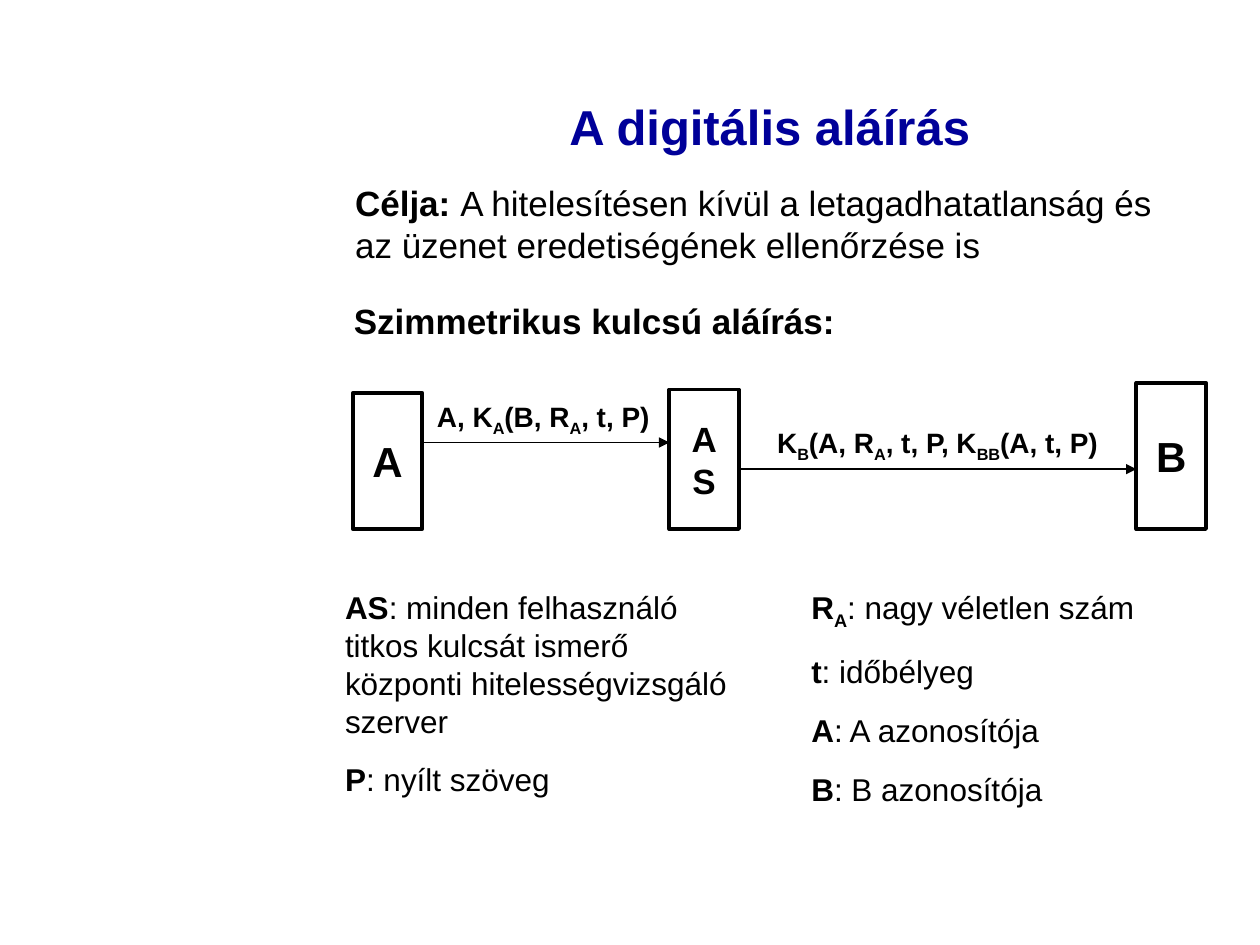
from lxml import etree
from pptx import Presentation
from pptx.dml.color import RGBColor
from pptx.enum import shapes, text as t
from pptx.oxml import ns
from pptx.util import Pt

BLACK, NAVY = "000000", "000099"
BOLD, PLAIN, SUB = "bold", "plain", "sub"

# Every text is a list of paragraphs; a paragraph is a list of (words, style).
TITLE = [[("A digitális aláírás", BOLD)]]
GOAL = [[("Célja: ", BOLD),
         ("A hitelesítésen kívül a letagadhatatlanság és az üzenet "
          "eredetiségének ellenőrzése is", PLAIN)]]
HEADING = [[("Szimmetrikus kulcsú aláírás:", BOLD)]]
LEFT_TERMS = [
    [("AS", BOLD), (": minden felhasználó titkos kulcsát ismerő központi "
                    "hitelességvizsgáló szerver", PLAIN)],
    [("P", BOLD), (": nyílt szöveg", PLAIN)],
]
RIGHT_TERMS = [
    [("R", BOLD), ("A", SUB), (": nagy véletlen szám", PLAIN)],
    [("t", BOLD), (": időbélyeg", PLAIN)],
    [("A", BOLD), (": A azonosítója", PLAIN)],
    [("B", BOLD), (": B azonosítója", PLAIN)],
]

# words, place (left, top, width, height), format
TEXTS = [
    (TITLE, (195.8, 21.6, 488.2, 100.8),
     dict(size=28, color=NAVY, align=t.PP_ALIGN.CENTER, anchor=t.MSO_ANCHOR.MIDDLE)),
    (GOAL, (195.8, 100.1, 481.7, 55.4), dict(size=20)),
    (HEADING, (195.1, 167.8, 289.4, 31.7), dict(size=20, wrap=False)),
    (LEFT_TERMS, (190.1, 332.6, 232.6, 127.4), dict(size=18, gap=12)),
    (RIGHT_TERMS, (456.5, 332.6, 238.3, 132.5), dict(size=18, gap=12)),
]

# letters, left, top, text size
PARTIES = [("A", 201.6, 224.6, 24), ("AS", 382.5, 222.6, 20), ("B", 649.4, 218.8, 24)]
PARTY_WIDTH, PARTY_BOTTOM = 39.8, 302.3

# message, height of its arrow, place of the label; each goes to the next party
MESSAGES = [
    ([[("A, K", BOLD), ("A", SUB), ("(B, R", BOLD), ("A", SUB), (", t, P)", BOLD)]],
     252.9, (242.6, 224.6, 136.1, 29.5)),
    ([[("K", BOLD), ("B", SUB), ("(A, R", BOLD), ("A", SUB), (", t, P, K", BOLD),
       ("BB", SUB), ("(A, t, P)", BOLD)]],
     268.1, (437, 239.8, 199.4, 29.5)),
]


def rgb(value):
    return RGBColor.from_string(value)


def write(shape, paragraphs, size=18, color=BLACK, align=t.PP_ALIGN.LEFT,
          anchor=t.MSO_ANCHOR.TOP, wrap=True, gap=0):
    frame = shape.text_frame
    frame.word_wrap = wrap
    frame.vertical_anchor = anchor
    for index, words in enumerate(paragraphs):
        para = frame.paragraphs[0] if index == 0 else frame.add_paragraph()
        para.alignment = align
        has_sub = any(style == SUB for _, style in words)
        para.line_spacing = Pt(round(size * (1.36 if has_sub else 1.2), 1))
        para.space_before = Pt(gap if index else 0)
        for content, style in words:
            span = para.add_run()
            span.text = content
            span.font.name = "Arial"
            span.font.size = Pt(size)
            span.font.bold = style != PLAIN
            span.font.color.rgb = rgb(color)
            if style == SUB:
                span.font._element.set("baseline", "-25000")


def add_text(slide, paragraphs, place, **style):
    box = slide.shapes.add_textbox(*map(Pt, place))
    write(box, paragraphs, **style)


def add_party(slide, letters, left, top, size):
    box = slide.shapes.add_shape(shapes.MSO_SHAPE.RECTANGLE, Pt(left), Pt(top),
                                 Pt(PARTY_WIDTH), Pt(PARTY_BOTTOM - top))
    box.shadow.inherit = False
    box.fill.background()
    box.line.color.rgb = rgb(BLACK)
    box.line.width = Pt(2.25)
    write(box, [[(letter, BOLD)] for letter in letters], size=size, wrap=False,
          align=t.PP_ALIGN.CENTER, anchor=t.MSO_ANCHOR.MIDDLE)


def add_arrow(slide, start, end, height):
    arrow = slide.shapes.add_connector(shapes.MSO_CONNECTOR.STRAIGHT,
                                       Pt(start), Pt(height), Pt(end), Pt(height))
    arrow.line.color.rgb = rgb(BLACK)
    arrow.line.width = Pt(0.75)
    etree.SubElement(arrow.line._get_or_add_ln(), ns.qn("a:tailEnd"), type="triangle")
    etree.SubElement(arrow._element.spPr, ns.qn("a:effectLst"))


def main():
    deck = Presentation()
    deck.slide_width, deck.slide_height = Pt(720), Pt(540)
    slide = deck.slides.add_slide(deck.slide_layouts[6])
    for paragraphs, place, style in TEXTS:
        add_text(slide, paragraphs, place, **style)
    for party in PARTIES:
        add_party(slide, *party)
    for sender, receiver, (label, height, place) in zip(PARTIES, PARTIES[1:], MESSAGES):
        add_arrow(slide, sender[1] + PARTY_WIDTH, receiver[1], height)
        add_text(slide, label, place, size=16, wrap=False)
    deck.save("out.pptx")


if __name__ == "__main__":
    main()
